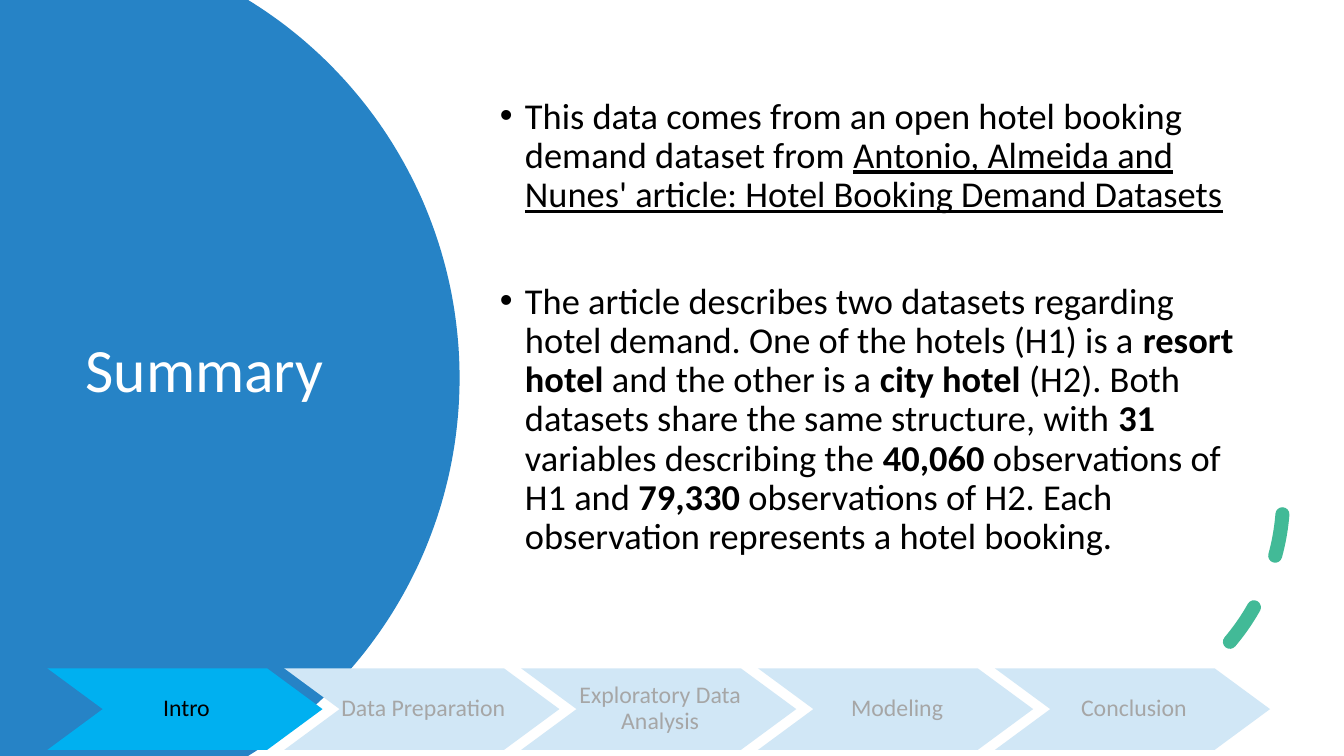
from dataclasses import dataclass
from math import asin, cos, sin

from lxml.etree import SubElement
from pptx import Presentation
from pptx.dml.color import RGBColor
from pptx.enum.dml import MSO_LINE
from pptx.enum.shapes import MSO_SHAPE
from pptx.enum.text import MSO_ANCHOR as Anchor, PP_ALIGN as Align
from pptx.oxml.ns import qn
from pptx.shapes.autoshape import Shape
from pptx.slide import Slide
from pptx.text.text import TextFrame
from pptx.util import Emu, Inches, Pt

COLS, ROWS = 160, 90  # square grid cells, twelve to the inch
CELL = Inches(1) / 12
FONT = "Calibri"
COLORS = {
    "panel": "2683C6", "arc": "42BA97", "active": "00B0F0", "idle": "D1E7F6",
    "white": "FFFFFF", "black": "000000", "muted": "A6A6A6",
}


@dataclass(frozen=True)
class Box:
    left: float
    top: float
    width: float
    height: float

    def emu(self) -> tuple[Emu, ...]:
        return tuple(map(cells, (self.left, self.top, self.width, self.height)))


@dataclass(frozen=True)
class Span:
    text: str
    bold: bool = False
    underline: bool = False


@dataclass(frozen=True)
class Step:
    label: str
    fill: str = "idle"
    color: str = "muted"


TITLE = Box(9, 15.12, 42, 58.56)
BODY = Box(58.32, 7.8, 90.6, 73.32)
BODY_BOTTOM_INSET = 11.5
ARC = Box(99.12, 32.28, 53.64, 53.64)
ARC_START = 319.8
CIRCLE_X, RADIUS = 1.92, 52.8
FIRST_STEP = Box(5.64, 79.56, 32.76, 9.72)
STEP_PITCH, NOTCH = 28.2, 6.6

STEPS = [
    Step("Intro", "active", "black"),
    Step("Data Preparation"),
    Step("Exploratory Data Analysis"),
    Step("Modeling"),
    Step("Conclusion"),
]
BULLETS = [
    [
        Span("This data comes from an open hotel booking demand dataset from "),
        Span("Antonio, Almeida and Nunes' article: Hotel Booking Demand Datasets",
             underline=True),
    ],
    [
        Span("The article describes two datasets regarding hotel demand. "
             "One of the hotels (H1) is a "),
        Span("resort hotel ", bold=True),
        Span("and the other is a "),
        Span("city hotel ", bold=True),
        Span("(H2). Both datasets share the same structure, with "),
        Span("31", bold=True),
        Span(" variables describing the "),
        Span("40,060", bold=True),
        Span(" observations of H1 and "),
        Span("79,330", bold=True),
        Span(" observations of H2. Each observation represents a hotel booking."),
    ],
]


def cells(n: float) -> Emu:
    return Emu(round(n * CELL))


def rgb(name: str) -> RGBColor:
    return RGBColor.from_string(COLORS[name])


def style(p, size: float, color: str) -> None:
    p.line_spacing = 0.9
    p.font.name = FONT
    p.font.size = Pt(size)
    p.font.color.rgb = rgb(color)


def add_outline(s: Slide, points: list[tuple[float, float]], fill: str) -> Shape:
    """Draw a filled closed polygon whose corners are given in grid cells."""
    corners = [(cells(x), cells(y)) for x, y in points]
    builder = s.shapes.build_freeform(*corners[0])
    builder.add_line_segments(corners[1:])
    sp = builder.convert_to_shape()
    sp.shadow.inherit = False
    sp.fill.solid()
    sp.fill.fore_color.rgb = rgb(fill)
    sp.line.fill.background()
    return sp


def add_text_frame(s: Slide, box: Box) -> TextFrame:
    tf = s.shapes.add_textbox(*box.emu()).text_frame
    tf.word_wrap = True
    tf.vertical_anchor = Anchor.MIDDLE
    return tf


def add_panel(s: Slide) -> None:
    middle = ROWS / 2
    limit = asin(middle / RADIUS)
    angles = [limit * i / 60 for i in range(-60, 61)]
    curve = [(CIRCLE_X + RADIUS * cos(a), middle + RADIUS * sin(a)) for a in angles]
    add_outline(s, [(0, 0), *curve, (0, ROWS)], "panel")


def add_title(s: Slide) -> None:
    p = add_text_frame(s, TITLE).paragraphs[0]
    p.text = "Summary"
    style(p, 44, "white")


def add_dashed_arc(s: Slide) -> None:
    sp = s.shapes.add_shape(MSO_SHAPE.ARC, *ARC.emu())
    sp.shadow.inherit = False
    sp.fill.background()
    sp.line.color.rgb = rgb("arc")
    sp.line.width = Pt(10)
    sp.line.dash_style = MSO_LINE.DASH
    sp.adjustments[0] = ARC_START * 0.6  # 60000 units a degree, over 100000
    sp.adjustments[1] = 0
    props = sp._element.spPr
    props.find(qn("a:ln")).set("cap", "rnd")
    props.find(qn("a:xfrm")).set("flipV", "1")


def add_bullets(s: Slide) -> None:
    tf = add_text_frame(s, BODY)
    tf.margin_bottom = cells(BODY_BOTTOM_INSET)
    for i, spans in enumerate(BULLETS):
        p = tf.add_paragraph() if i else tf.paragraphs[0]
        props = p._p.get_or_add_pPr()
        props.set("marL", str(cells(3)))
        props.set("indent", str(cells(-3)))
        SubElement(props, qn("a:buFont"), typeface="Arial")
        SubElement(props, qn("a:buChar"), char="•")
        style(p, 26, "black")
        if i:
            p.space_before = Pt(48)
        for span in spans:
            r = p.add_run()
            r.text = span.text
            r.font.bold = span.bold
            r.font.underline = span.underline


def add_step(s: Slide, step: Step, index: int) -> None:
    left = FIRST_STEP.left + index * STEP_PITCH
    right = left + FIRST_STEP.width
    top, bottom = FIRST_STEP.top, FIRST_STEP.top + FIRST_STEP.height
    middle = (top + bottom) / 2
    sp = add_outline(s, [
        (left, top), (right - NOTCH, top), (right, middle),
        (right - NOTCH, bottom), (left, bottom), (left + NOTCH, middle),
    ], step.fill)
    tf = sp.text_frame
    tf.word_wrap = True
    tf.vertical_anchor = Anchor.MIDDLE
    tf.margin_left, tf.margin_right = cells(5.16), cells(4.8)
    tf.margin_top = tf.margin_bottom = cells(0.12)
    p = tf.paragraphs[0]
    p.text = step.label
    p.alignment = Align.CENTER
    style(p, 17, step.color)


def main() -> None:
    prs = Presentation()
    prs.slide_width, prs.slide_height = cells(COLS), cells(ROWS)
    s = prs.slides.add_slide(prs.slide_layouts[6])
    add_panel(s)
    add_title(s)
    add_dashed_arc(s)
    add_bullets(s)
    for i, step in enumerate(STEPS):
        add_step(s, step, i)
    prs.save("out.pptx")


if __name__ == "__main__":
    main()
